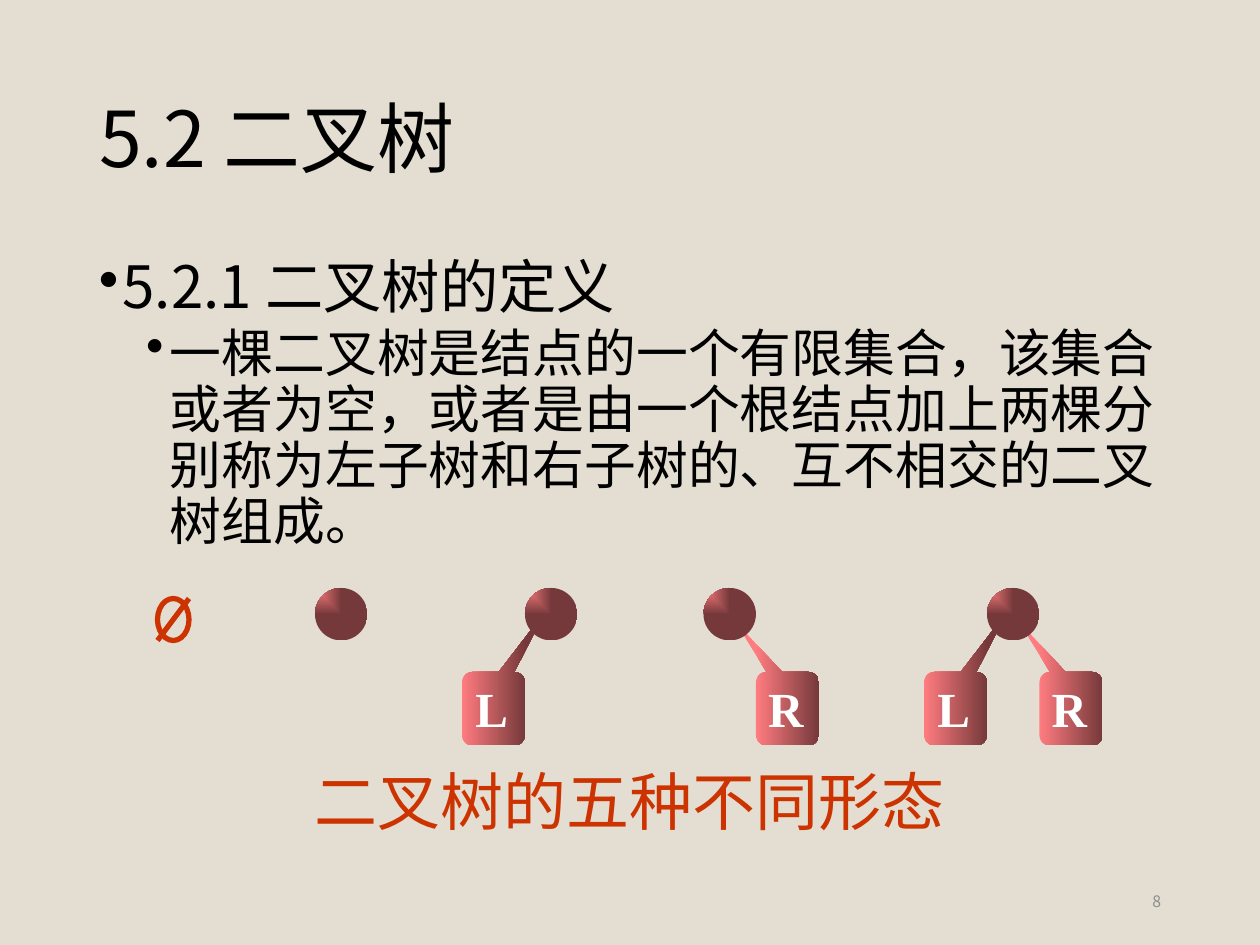
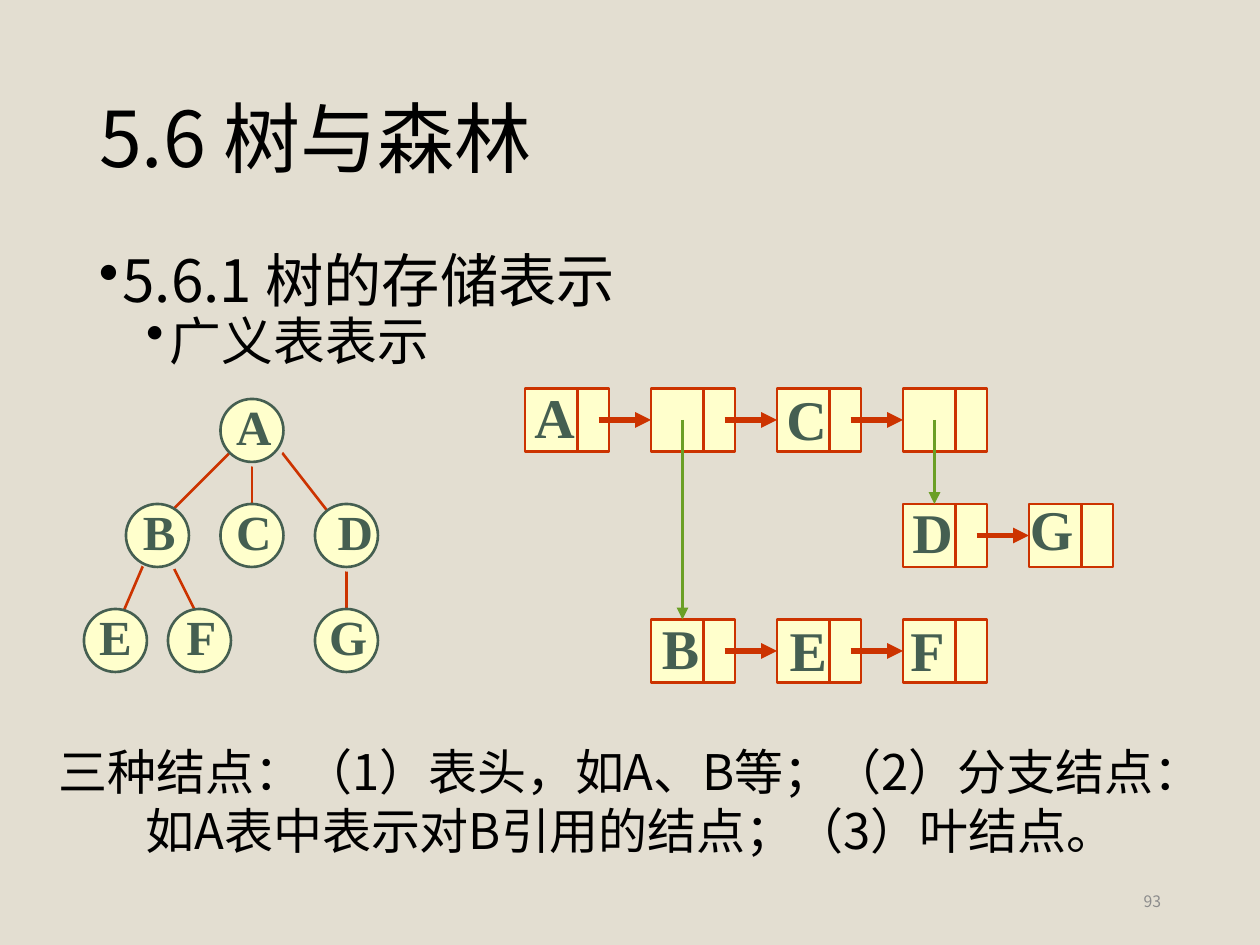
from dataclasses import dataclass

from lxml import etree
from pptx import Presentation
from pptx.dml.color import RGBColor
from pptx.enum.shapes import MSO_CONNECTOR, MSO_SHAPE
from pptx.enum.text import MSO_ANCHOR, MSO_AUTO_SIZE, PP_ALIGN
from pptx.oxml.ns import qn
from pptx.util import Pt

LEFT, CENTER, RIGHT = PP_ALIGN.LEFT, PP_ALIGN.CENTER, PP_ALIGN.RIGHT
TOP, MIDDLE = MSO_ANCHOR.TOP, MSO_ANCHOR.MIDDLE
NO_AUTOFIT = MSO_AUTO_SIZE.NONE
OVAL, RECTANGLE = MSO_SHAPE.OVAL, MSO_SHAPE.RECTANGLE
CALLOUT = MSO_SHAPE.ROUNDED_RECTANGULAR_CALLOUT
STRAIGHT = MSO_CONNECTOR.STRAIGHT


@dataclass(frozen=True)
class Theme:
    background: str = "E3DED1"
    ink: str = "000000"
    accent: str = "CC3300"
    node_fill: str = "FFFFCC"
    node_ink: str = "455F51"
    branch: str = "6B9F25"
    gradient: tuple = ("FF7C80", "76393B")
    white: str = "FFFFFF"
    page_ink: str = "8C8C8C"
    sans: str = "Noto Sans CJK SC"
    serif: str = "Times New Roman"
    title_size: float = 44
    heading_size: float = 33.3
    point_size: float = 29.6
    caption_size: float = 36
    note_size: float = 28
    node_size: float = 28
    cell_size: float = 32
    page_size: float = 9


THEME = Theme()

FORMS_SLIDE = {
    "title": "5.2 二叉树",
    "heading": "5.2.1 二叉树的定义",
    "point": "一棵二叉树是结点的一个有限集合，该集合或者为空，或者是由一个根结点加上两棵分别称为左子树和右子树的、互不相交的二叉树组成。",
    "page": "8",
    "spacing": 0.9,
    "body_height": 186.5,
}
FORMS_CAPTION = "二叉树的五种不同形态"
FORMS = [(180, ""), (300, "L"), (402, "R"), (564, "LR")]
SUBTREES = {"L": (-36, 0.819, -1.318), "R": (30, -0.83, -1.188)}

STORAGE_SLIDE = {
    "title": "5.6 树与森林",
    "heading": "5.6.1 树的存储表示",
    "point": "广义表表示",
    "page": "93",
    "spacing": 0.8,
    "body_height": 77,
}
STORAGE_NOTE = "三种结点：（1）表头，如A、B等；（2）分支结点：如A表中表示对B引用的结点；（3）叶结点。"
TREE_NODES = [("A", 126, 228, 1), ("B", 72, 288, 1), ("C", 126, 288, 1),
              ("D", 180, 288, 5), ("E", 48, 348, 0), ("F", 96, 348, 1),
              ("G", 180, 348, 1)]
TREE_EDGES = [(198, 318, 198, 360), (156, 252, 198, 306), (96, 318, 114, 354),
              (84, 318, 66, 360), (132, 258, 96, 294), (144, 258, 144, 294)]
LISTS = [
    (0, 222, [("A", 17, -7), None, ("C", 17, -6), None]),
    (3, 288, [("D", 17, -7), ("G", 13, -9)]),
    (1, 354, [("B", 17, -7), ("E", 18, -6), ("F", 14, -6)]),
]
BRANCHES = [(1, 354), (3, 288)]


def color(value):
    return RGBColor.from_string(value)


def write(paragraph, text, size, ink=THEME.ink, font=THEME.sans, bold=False,
          align=LEFT, spacing=None, before=0, indent=None):
    if indent is not None:
        properties = paragraph._p.get_or_add_pPr()
        properties.set("marL", str(Pt(indent)))
        properties.set("indent", str(-Pt(13.5)))
        etree.SubElement(properties, qn("a:buChar"), char="•")
    paragraph.alignment = align
    paragraph.space_before = Pt(before)
    if spacing:
        paragraph.line_spacing = spacing
    run = paragraph.add_run()
    run.text = text
    run.font.name = font
    run.font.size = Pt(size)
    run.font.bold = bold
    run.font.color.rgb = color(ink)
    etree.SubElement(run._r.get_or_add_rPr(), qn("a:ea"), typeface=THEME.sans)


def add_frame(slide, box, anchor=TOP, wrap=True):
    frame = slide.shapes.add_textbox(*map(Pt, box)).text_frame
    frame.word_wrap = wrap
    frame.auto_size = NO_AUTOFIT
    frame.vertical_anchor = anchor
    return frame


def add_label(slide, text, box, size, ink):
    frame = add_frame(slide, box, MIDDLE, wrap=False)
    write(frame.paragraphs[0], text, size, ink, THEME.serif, True, CENTER)


def add_line(slide, points, ink=THEME.accent, width=1.5, arrow=False):
    line = slide.shapes.add_connector(STRAIGHT, *map(Pt, points))
    line.line.color.rgb = color(ink)
    line.line.width = Pt(width)
    if arrow:
        etree.SubElement(line.line._get_or_add_ln(), qn("a:tailEnd"), type="triangle")
    etree.SubElement(line._element.spPr, qn("a:effectLst"))


def add_shape(slide, kind, box, fill=None, ink=None, width=1.5):
    shape = slide.shapes.add_shape(kind, *map(Pt, box))
    shape.shadow.inherit = False
    if fill:
        shape.fill.solid()
        shape.fill.fore_color.rgb = color(fill)
    else:
        shape.fill.background()
    if ink:
        shape.line.color.rgb = color(ink)
        shape.line.width = Pt(width)
    else:
        shape.line.fill.background()
    return shape


def add_gradient(shape, from_corner=False):
    shape.fill.gradient()
    shape.fill.gradient_angle = 0
    for stop, value in zip(shape.fill.gradient_stops, THEME.gradient):
        stop.color.rgb = color(value)
    if from_corner:
        gradient = shape._element.spPr.find(qn("a:gradFill"))
        gradient.remove(gradient.find(qn("a:lin")))
        shading = etree.SubElement(gradient, qn("a:path"), path="rect")
        etree.SubElement(shading, qn("a:fillToRect"), r="100000", b="100000")


def add_node(slide, kind, box, ink):
    shape = add_shape(slide, kind, box, THEME.node_fill, ink)
    effects = shape._element.spPr.find(qn("a:effectLst"))
    shadow = etree.SubElement(effects, qn("a:outerShdw"), dist=str(Pt(2.8)),
                              dir="2700000", algn="ctr", rotWithShape="0")
    etree.SubElement(shadow, qn("a:srgbClr"), val=THEME.background)


def start_slide(presentation, content):
    slide = presentation.slides.add_slide(presentation.slide_layouts[5])
    title = slide.shapes.title
    title.left, title.top, title.width, title.height = map(Pt, (49.5, 29, 621, 104.5))
    title.text_frame.auto_size = NO_AUTOFIT
    title.text_frame.vertical_anchor = MIDDLE
    spacing = content["spacing"]
    write(title.text_frame.paragraphs[0], content["title"], THEME.title_size, spacing=0.9)
    body = add_frame(slide, (49.5, 144, 621, content["body_height"]))
    write(body.paragraphs[0], content["heading"], THEME.heading_size,
          spacing=spacing, indent=13.5)
    write(body.add_paragraph(), content["point"], THEME.point_size,
          spacing=spacing, before=3.8, indent=40.5)
    page = add_frame(slide, (508.5, 500.5, 162, 28.5), MIDDLE)
    write(page.paragraphs[0], content["page"], THEME.page_size, THEME.page_ink, align=RIGHT)
    return slide


def build_forms(presentation):
    slide = start_slide(presentation, FORMS_SLIDE)
    add_shape(slide, OVAL, (90, 342, 18, 24), ink=THEME.accent, width=3)
    add_line(slide, (108, 342, 90, 366), width=3)
    for root_left, subtrees in FORMS:
        for letter in subtrees:
            offset, tip_x, tip_y = SUBTREES[letter]
            left = root_left + offset
            callout = add_shape(slide, CALLOUT, (left, 384, 36, 42))
            callout.adjustments[0] = tip_x
            callout.adjustments[1] = tip_y
            add_gradient(callout)
            add_label(slide, letter, (left, 384, 34, 41), THEME.node_size, THEME.white)
        root = add_shape(slide, OVAL, (root_left, 336, 30, 30))
        add_gradient(root, from_corner=True)
    caption = add_frame(slide, (108, 432, 504, 50.5))
    write(caption.paragraphs[0], FORMS_CAPTION, THEME.caption_size, THEME.accent,
          THEME.serif, align=CENTER)


def build_storage(presentation):
    slide = start_slide(presentation, STORAGE_SLIDE)
    for edge in TREE_EDGES:
        add_line(slide, edge)
    for letter, left, top, shift in TREE_NODES:
        add_node(slide, OVAL, (left, top, 36, 36), THEME.node_ink)
        add_label(slide, letter, (left + 1 + shift, top - 5, 34, 41),
                  THEME.node_size, THEME.node_ink)
    for first_column, top, cells in LISTS:
        for index, cell in enumerate(cells):
            left = 300 + 72 * (first_column + index)
            add_node(slide, RECTANGLE, (left, top, 48, 36), THEME.accent)
            add_line(slide, (left + 30, top, left + 30, top + 36))
            if index < len(cells) - 1:
                add_line(slide, (left + 42, top + 18, left + 72, top + 18),
                         width=3, arrow=True)
            if cell:
                letter, center, shift = cell
                add_label(slide, letter, (left + center - 18, top + shift, 36, 45.5),
                          THEME.cell_size, THEME.node_ink)
    for column, bottom in BRANCHES:
        middle = 300 + 72 * column + 18
        add_line(slide, (middle, 240, middle, bottom), THEME.branch, 2.25, arrow=True)
    note = add_frame(slide, (20, 420, 680.5, 75))
    write(note.paragraphs[0], STORAGE_NOTE, THEME.note_size, align=CENTER)


def main():
    presentation = Presentation()
    presentation.slide_width, presentation.slide_height = Pt(720), Pt(540)
    background = presentation.slide_master.background.fill
    background.solid()
    background.fore_color.rgb = color(THEME.background)
    build_forms(presentation)
    build_storage(presentation)
    presentation.save("out.pptx")


if __name__ == "__main__":
    main()
